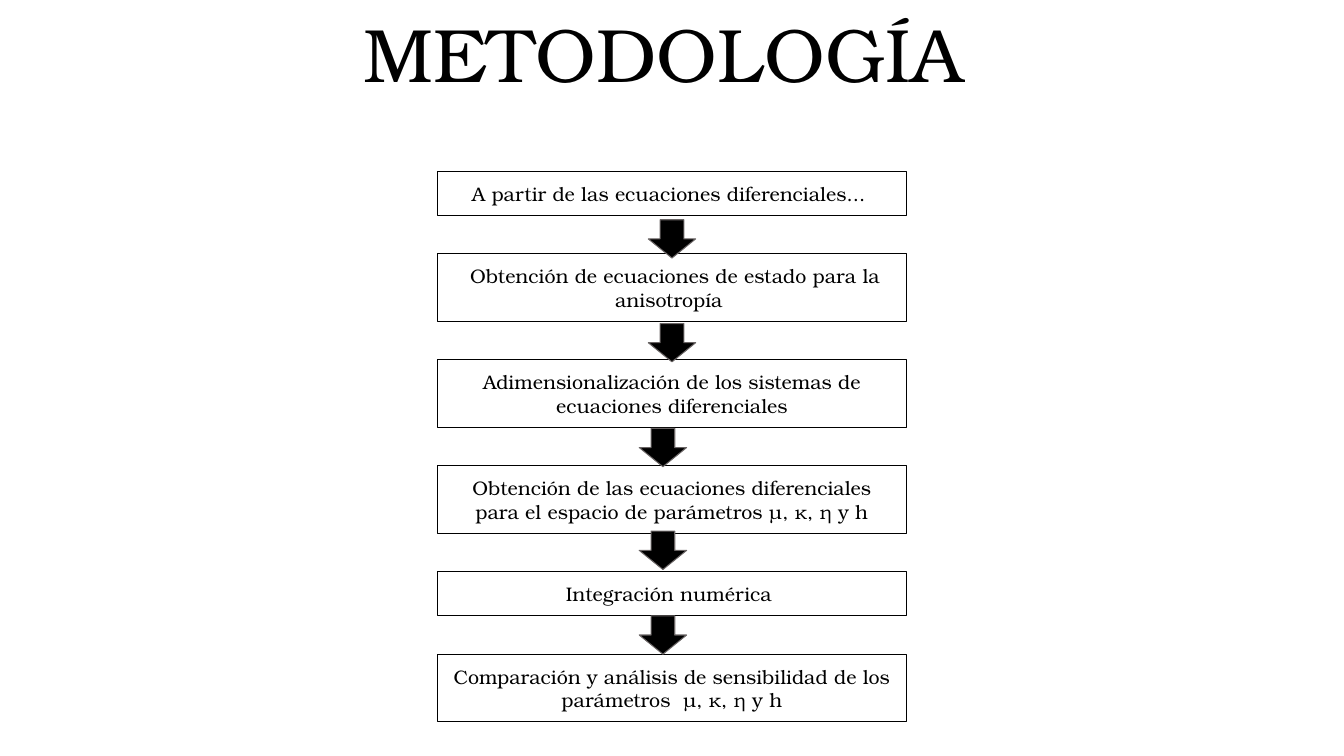
import pptx
import pptx.dml.color
import pptx.enum.shapes
import pptx.enum.text
import pptx.util

Inches = pptx.util.Inches
Pt = pptx.util.Pt
SHAPE = pptx.enum.shapes.MSO_SHAPE
ANCHOR = pptx.enum.text.MSO_ANCHOR
CENTER = pptx.enum.text.PP_ALIGN.CENTER

COLORS = {"ink": "000000", "arrow_edge": "696464"}
FONT = "TeX Gyre Bonum"

BOX_LEFT, BOX_WIDTH = 4.34, 4.65
FIRST_TOP, GAP = 1.70, 0.38
ONE_LINE, TWO_LINES = 0.44, 0.67
ARROW_WIDTH, ARROW_HEIGHT = 0.47, 0.38

STEPS = [
    ("A partir de las ecuaciones diferenciales... ", ONE_LINE),
    (" Obtención de ecuaciones de estado para la anisotropía ", TWO_LINES),
    ("Adimensionalización de los sistemas de ecuaciones diferenciales", TWO_LINES),
    ("Obtención de las ecuaciones diferenciales para el espacio de "
     "parámetros µ, κ, η y h", TWO_LINES),
    ("Integración numérica ", ONE_LINE),
    ("Comparación y análisis de sensibilidad de los parámetros  µ, κ, η y h",
     TWO_LINES),
]
ARROWS = [(6.43, 2.18), (6.43, 3.21), (6.34, 4.25), (6.34, 5.27), (6.34, 6.11)]


class FlowSlide:
    """Draws the elements of a flow chart on one slide."""

    def __init__(self, prs):
        """Add a title-only slide."""
        self.s = prs.slides.add_slide(prs.slide_layouts[5])

    def color(self, name):
        """Return a named colour."""
        return pptx.dml.color.RGBColor.from_string(COLORS[name])

    def set_text(self, sp, text, size, inset):
        """Put centred text in a shape, with the given vertical inset."""
        tf = sp.text_frame
        tf.word_wrap = True
        tf.auto_size = pptx.enum.text.MSO_AUTO_SIZE.NONE
        tf.vertical_anchor = ANCHOR.MIDDLE
        tf.margin_left = tf.margin_right = Inches(0.1)
        tf.margin_top = tf.margin_bottom = Inches(inset)
        tf.text = text
        p = tf.paragraphs[0]
        p.alignment = CENTER
        font = p.runs[0].font
        font.name, font.size = FONT, Pt(size)
        font.color.rgb = self.color("ink")
        return p

    def title(self, text, left, top, width, height):
        """Place and format the title placeholder."""
        sp = self.s.shapes.title
        sp.left, sp.top = Inches(left), Inches(top)
        sp.width, sp.height = Inches(width), Inches(height)
        self.set_text(sp, text, 54, 0.05).line_spacing = 0.9

    def shape(self, kind, left, top, width, height, line):
        """Add an outlined preset shape without shadow."""
        sp = self.s.shapes.add_shape(
            kind, Inches(left), Inches(top), Inches(width), Inches(height))
        sp.shadow.inherit = False
        sp.line.color.rgb = self.color(line)
        sp.line.width = Pt(0.75)
        return sp

    def box(self, text, top, height):
        """Add one step of the method."""
        sp = self.shape(SHAPE.RECTANGLE, BOX_LEFT, top, BOX_WIDTH, height, "ink")
        sp.fill.background()
        self.set_text(sp, text, 14, 0.1)

    def arrow(self, left, top):
        """Add a block arrow pointing to the next step."""
        sp = self.shape(SHAPE.DOWN_ARROW, left, top, ARROW_WIDTH, ARROW_HEIGHT,
                        "arrow_edge")
        sp.fill.solid()
        sp.fill.fore_color.rgb = self.color("ink")


def main():
    """Build and save the presentation."""
    prs = pptx.Presentation()
    prs.slide_width, prs.slide_height = Inches(13.33), Inches(7.5)
    slide = FlowSlide(prs)
    slide.title("METODOLOGÍA", 1.08, 0, 11, 1.15)
    top = FIRST_TOP
    for text, height in STEPS:
        slide.box(text, top, height)
        top += height + GAP
    for left, arrow_top in ARROWS:
        slide.arrow(left, arrow_top)
    prs.save("out.pptx")


main()
